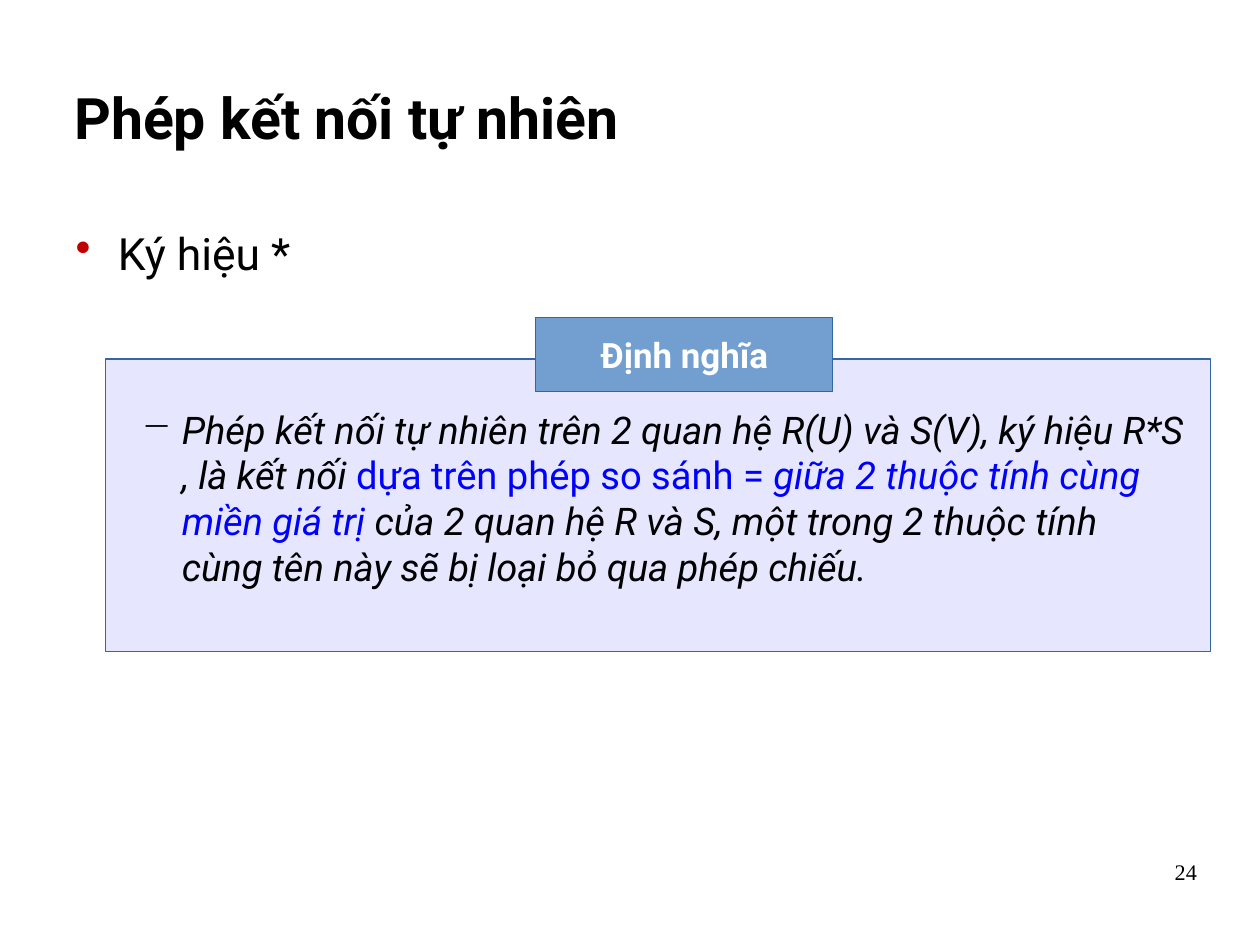
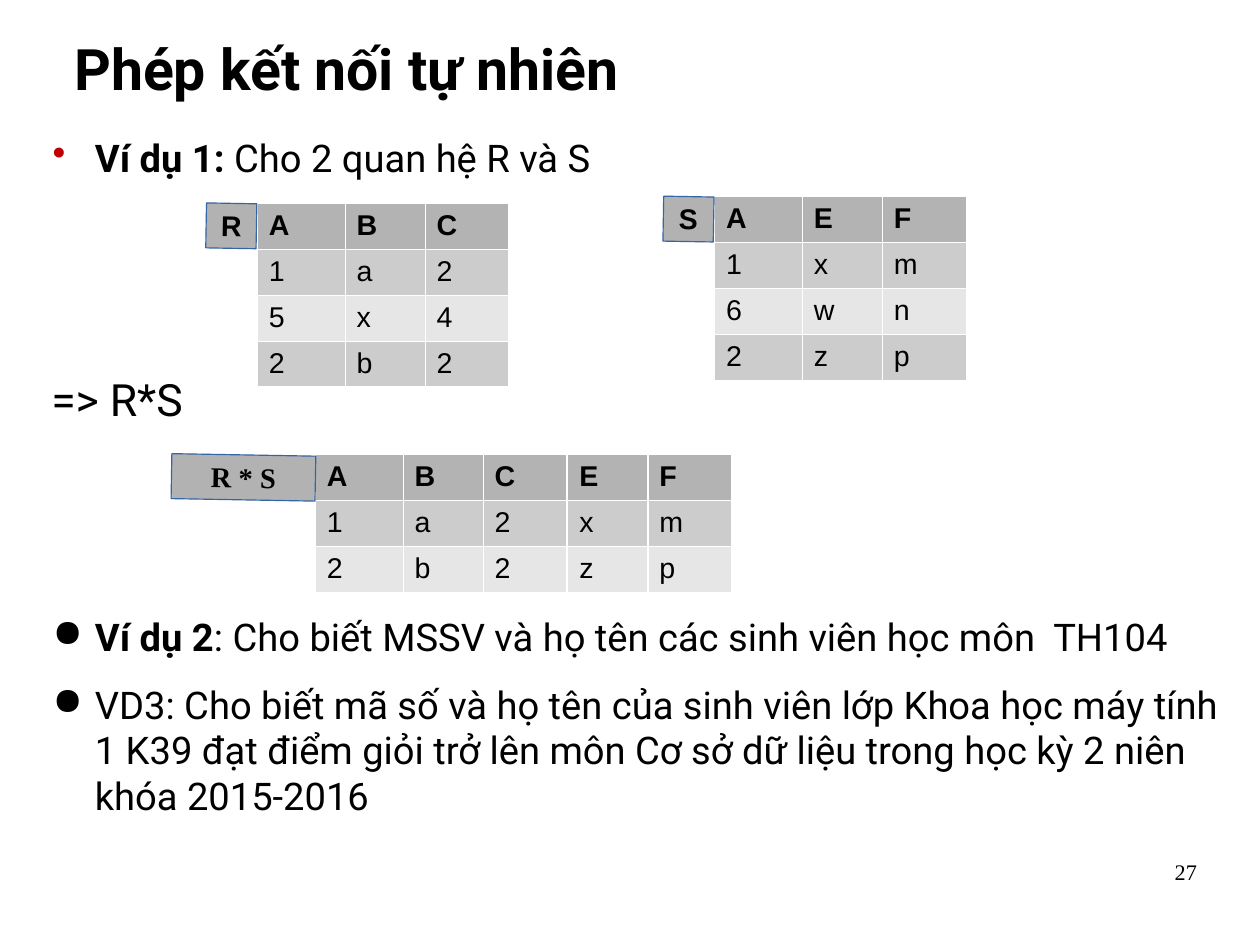
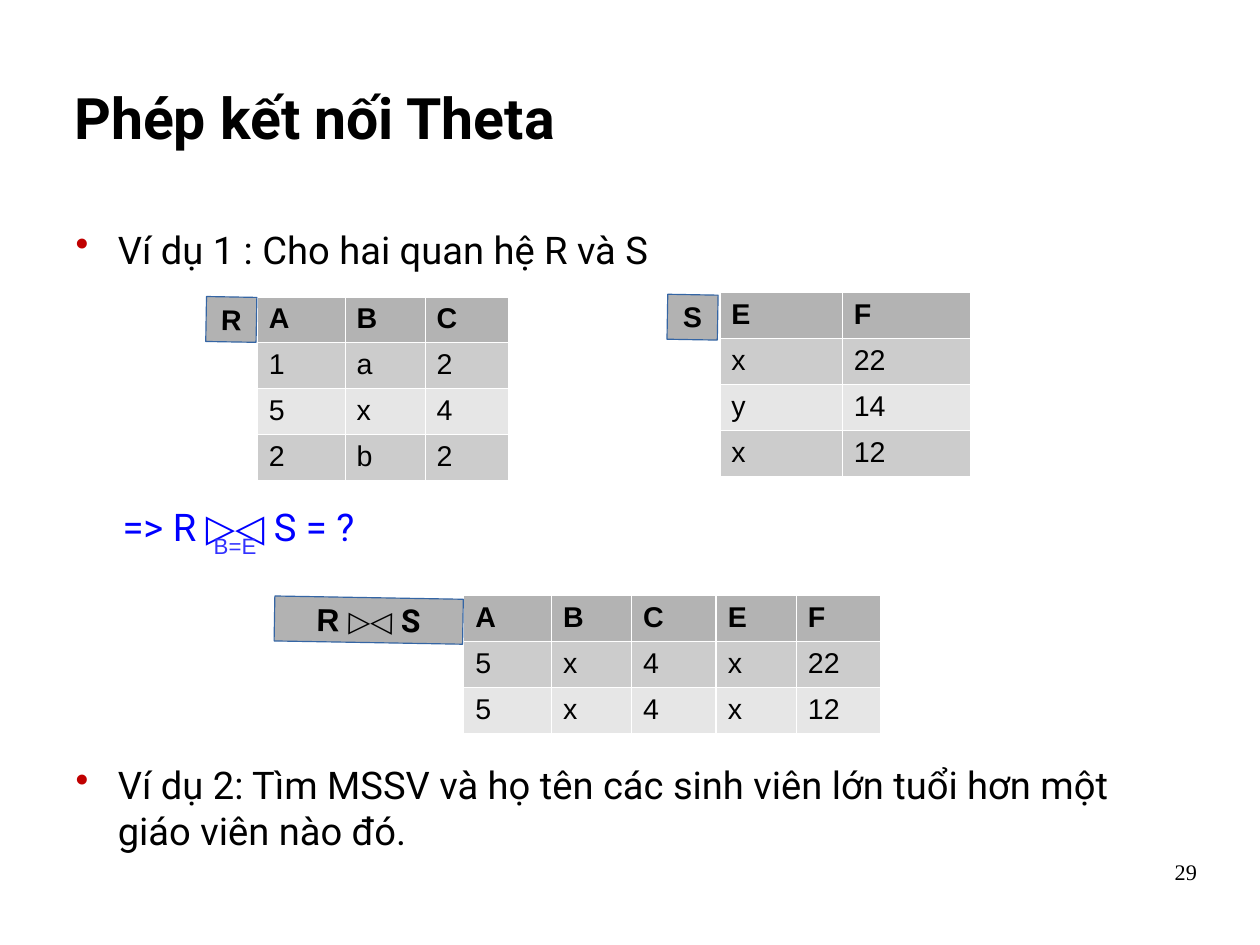
from lxml.etree import SubElement
from pptx import Presentation
from pptx.dml.color import RGBColor
from pptx.enum.shapes import MSO_SHAPE
from pptx.enum.text import MSO_ANCHOR, PP_ALIGN
from pptx.oxml.ns import qn
from pptx.util import Cm, Pt

HUES = {
    "ink": "000000", "white": "FFFFFF", "red": "C00000", "blue": "0000FF",
    "sub": "3333FF", "edge": "3465A4", "pale": "E6E6FF", "head": "729FCF",
    "tag": "B2B2B2", "top": "B3B3B3", "odd": "CCCCCC", "even": "E6E6E6",
}
BODY, CELL, SERIF, SIGN = "Roboto", "Arial", "Times New Roman", "Noto Sans"
WIDE = (1.95, 1.78, 1.86)
ROW = 1.02
LEFT = 1.4
SPAN = 25.2
TIGHT = 0.93


def hue(key):
    return RGBColor.from_string(HUES[key])


def style(font, name=None, size=None, color=None, bold=None, italic=None):
    if name:
        font.name = name
    if size:
        font.size = Pt(size)
    if color:
        font.color.rgb = hue(color)
    if bold is not None:
        font.bold = bold
    if italic is not None:
        font.italic = italic


class Deck:
    def __init__(self):
        self.prs = Presentation()
        self.prs.slide_width, self.prs.slide_height = Cm(28), Cm(21)
        self.slide = None

    # Text
    def put(self, para, runs, align=None, space=None, gap=None, mark=None, **look):
        """Fill a paragraph; runs is a string or a list of (text, changes)."""
        if mark:
            self.mark(para, *mark)
        if align:
            para.alignment = align
        if space:
            para.line_spacing = space
        if gap:
            para.space_before = Pt(gap)
        style(para.font, **{"name": BODY, "size": 24, "color": "ink", **look})
        for text, change in [(runs, {})] if isinstance(runs, str) else runs:
            run = para.add_run()
            run.text = text
            style(run.font, **change)

    def mark(self, para, char, color, indent, hang):
        props = para._p.get_or_add_pPr()
        props.set("marL", str(Cm(indent)))
        props.set("indent", str(-Cm(hang)))
        tint = SubElement(props, qn("a:buClr"))
        SubElement(tint, qn("a:srgbClr"), val=HUES[color])
        SubElement(props, qn("a:buChar"), char=char)

    def text(self, x, y, w, h, runs, pad=True, anchor=MSO_ANCHOR.TOP, **look):
        frame = self.slide.shapes.add_textbox(Cm(x), Cm(y), Cm(w), Cm(h)).text_frame
        frame.word_wrap = True
        frame.vertical_anchor = anchor
        if not pad:
            frame.margin_left = frame.margin_right = 0
            frame.margin_top = frame.margin_bottom = 0
        self.put(frame.paragraphs[0], runs, **look)
        return frame

    def item(self, y, h, runs, x=LEFT, w=SPAN, char="•", color="red", **look):
        return self.text(x, y, w, h, runs, mark=(char, color, 0.97, 0.94), **look)

    # Slide with title and number
    def page(self, title, num, y=0.84, h=3.5):
        self.slide = self.prs.slides.add_slide(self.prs.slide_layouts[6])
        self.text(20.07, 19.13, 6.53, 1.45, num, pad=False, align=PP_ALIGN.RIGHT,
                  space=TIGHT, name=SERIF, size=14)
        self.text(LEFT, y, SPAN, h, title, anchor=MSO_ANCHOR.MIDDLE, size=36, bold=True)

    # Shapes
    def box(self, x, y, w, h, fill, runs=None, **look):
        shape = self.slide.shapes.add_shape(
            MSO_SHAPE.RECTANGLE, Cm(x), Cm(y), Cm(w), Cm(h))
        shape.shadow.inherit = False
        shape.fill.solid()
        shape.fill.fore_color.rgb = hue(fill)
        shape.line.color.rgb = hue("edge")
        shape.line.width = Pt(0.75)
        if runs:
            frame = shape.text_frame
            frame.word_wrap = True
            frame.vertical_anchor = MSO_ANCHOR.MIDDLE
            self.put(frame.paragraphs[0], runs, align=PP_ALIGN.CENTER, bold=True, **look)
        return shape

    def tag(self, right, y, runs, w=1.12, name=CELL, size=18):
        """Tilted relation name that ends where its table starts."""
        shape = self.box(right - w, y, w, 1, "tag", runs, space=TIGHT,
                         name=name, size=size)
        shape.rotation = 1
        shape.text_frame.margin_top = Cm(0.18)

    # Tables
    def grid(self, x, y, rows, cols=WIDE):
        rows = [row.split() for row in rows]
        table = self.slide.shapes.add_table(
            len(rows), len(cols), Cm(x), Cm(y), Cm(sum(cols)), Cm(ROW * len(rows))).table
        table.first_row = table.horz_banding = False
        for col, wide in zip(table.columns, cols):
            col.width = Cm(wide)
        for i, row in enumerate(rows):
            table.rows[i].height = Cm(ROW)
            fill = "top" if i == 0 else "odd" if i % 2 else "even"
            for j, word in enumerate(row):
                self.cell(table.cell(i, j), word, fill, i == 0)

    def cell(self, cell, word, fill, bold):
        props = cell._tc.get_or_add_tcPr()
        for side in "LRTB":
            line = SubElement(props, qn("a:ln" + side), w=str(Pt(0.75)))
            paint = SubElement(line, qn("a:solidFill"))
            SubElement(paint, qn("a:srgbClr"), val=HUES["white"])
        cell.fill.solid()
        cell.fill.fore_color.rgb = hue(fill)
        cell.margin_top = Cm(0.18)
        self.put(cell.text_frame.paragraphs[0], word, space=TIGHT,
                 name=CELL, size=18, bold=bold)

    def join(self, x, y, left, right):
        self.grid(x, y, left)
        self.grid(x + sum(WIDE) + 0.02, y, right, WIDE[1:])


def main():
    deck = Deck()
    rel = ["A B C", "1 a 2", "5 x 4", "2 b 2"]
    bold, plain = {"bold": True}, {"bold": False}
    slant, sign = {"italic": True}, {"name": SIGN}

    # Definition of the natural join
    deck.page("Phép kết nối tự nhiên", "24")
    deck.box(2.34, 7.98, 24.56, 6.5, "pale")
    deck.box(11.91, 7.06, 6.6, 1.65, "head", "Định nghĩa", size=22, color="white")
    deck.item(4.9, 1.5, "Ký hiệu *", size=28)
    deck.text(LEFT, 8.9, SPAN, 4.5, [
        ("Phép kết nối tự nhiên trên 2 quan hệ R(U) và S(V), ký hiệu R*S , là kết nối ", slant),
        ("dựa trên phép so sánh =", {"color": "blue"}),
        (" giữa 2 thuộc tính cùng miền giá trị ", {"color": "blue", "italic": True}),
        ("của 2 quan hệ R và S, một trong 2 thuộc tính cùng tên này "
         "sẽ bị loại bỏ qua phép chiếu.", slant),
    ], mark=("−", "ink", 2.39, 0.89))

    # Natural join examples
    deck.page("Phép kết nối tự nhiên", "27", 0.13, 2.77)
    side = {"x": 0.89, "w": 26.44}
    deck.item(2.87, 1.3, [("Ví dụ 1:", bold), (" Cho 2 quan hệ R và S", {})], **side)
    deck.text(0.89, 8.15, 4, 1.4, "=> R*S", size=28)
    tasks = deck.item(13.5, 5, [
        ("Ví dụ 2", bold),
        (": Cho biết MSSV và họ tên các sinh viên học môn  TH104", plain),
    ], char="●", color="ink", **side)
    deck.put(
        tasks.add_paragraph(),
        "VD3: Cho biết mã số và họ tên của sinh viên lớp Khoa học máy tính 1 K39 đạt "
        "điểm giỏi trở lên môn Cơ sở dữ liệu trong học kỳ 2 niên khóa 2015-2016",
        gap=14, mark=("●", "ink", 0.97, 0.94))
    deck.grid(5.72, 4.52, rel)
    deck.tag(5.7, 4.52, "R")
    deck.grid(15.88, 4.37, ["A E F", "1 x m", "6 w n", "2 z p"])
    deck.tag(15.86, 4.37, "S")
    deck.join(7.01, 10.11, ["A B C", "1 a 2", "2 b 2"], ["E F", "x m", "z p"])
    deck.tag(7.01, 10.11, "R * S", 3.2, SERIF)

    # Theta join examples
    deck.page("Phép kết nối Theta", "29")
    deck.item(4.9, 1.3, "Ví dụ 1 : Cho hai quan hệ R và S")
    deck.item(16.8, 2.3, "Ví dụ 2: Tìm MSSV và họ tên các sinh viên lớn tuổi hơn "
                         "một giáo viên nào đó.")
    deck.grid(5.72, 6.6, rel)
    deck.tag(5.7, 6.6, "R")
    deck.grid(16, 6.5, ["E F", "x 22", "y 14", "x 12"], (2.72, 2.84))
    deck.tag(15.95, 6.55, "S")
    deck.join(10.31, 13.23, ["A B C", "5 x 4", "5 x 4"], ["E F", "x 22", "x 12"])
    deck.tag(10.29, 13.28, [("R ", {}), ("▷◁", {"name": SIGN, "size": 18}),
                            (" ", {}), ("S", {"name": BODY})], 4.19, size=20)
    deck.text(2.62, 11.18, 5.36, 1.45, [("=> R ", {}), ("▷◁", sign), (" S = ?", {})],
              pad=False, align=PP_ALIGN.CENTER, space=1.01, color="blue")
    deck.text(4.5, 11.75, 1.73, 1, "B=E", space=TIGHT, name=CELL, size=14, color="sub")

    deck.prs.save("out.pptx")


if __name__ == "__main__":
    main()
